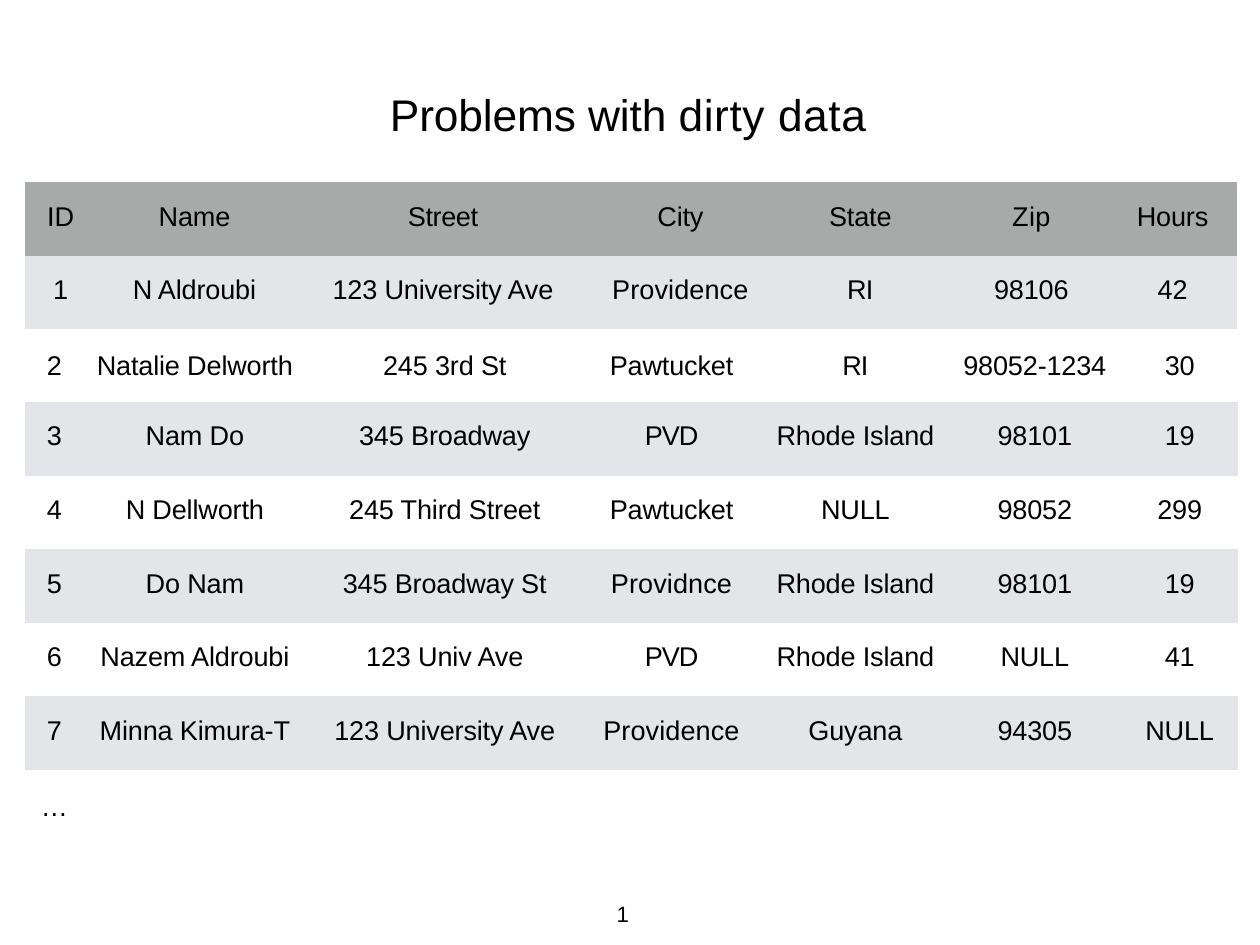
import pptx
import pptx.util
import pptx.dml.color
import pptx.enum.text

PX = 9144  # EMU per px, at 100 px to the inch
FONT = "Arial"
BLACK = pptx.dml.color.RGBColor(0x00, 0x00, 0x00)
HEADER_GREY = pptx.dml.color.RGBColor(0xA6, 0xAA, 0xA9)
BAND_GREY = pptx.dml.color.RGBColor(0xE3, 0xE5, 0xE8)
PLAIN_STYLE = "{2D5ABB26-0587-4C30-8999-92F81FD0307C}"
CENTER = pptx.enum.text.PP_ALIGN.CENTER
LEFT = pptx.enum.text.PP_ALIGN.LEFT

# Letter spacing in hundredths of a point, where it differs from the usual
TRACKING = {"Street": -30, "Zip": 40, "RI": -70, "PVD": -80,
            "Providence": 10, "Providnce": 10}
USUAL_TRACKING = -10

# Each row: height, top margin, fixed line spacing in points, fill, values
TOP_ROWS = [
    (83, 22, None, HEADER_GREY,
     ["ID", "Name", "Street", "City", "State", "Zip", "Hours"]),
    (83, 22, None, BAND_GREY,
     ["1", "N Aldroubi", "123 University Ave", "Providence", "RI", "98106", "42"]),
]
LOWER_ROWS = [
    (53, 0, 21.4, None,
     ["2", "Natalie Delworth", "245 3rd St", "Pawtucket", "RI", "98052-1234", "30"]),
    (83, 21, None, BAND_GREY,
     ["3", "Nam Do", "345 Broadway", "PVD", "Rhode Island", "98101", "19"]),
    (83, 22, None, None,
     ["4", "N Dellworth", "245 Third Street", "Pawtucket", "NULL", "98052", "299"]),
    (83, 22, None, BAND_GREY,
     ["5", "Do Nam", "345 Broadway St", "Providnce", "Rhode Island", "98101", "19"]),
    (83, 22, None, None,
     ["6", "Nazem Aldroubi", "123 Univ Ave", "PVD", "Rhode Island", "NULL", "41"]),
    (83, 22, None, BAND_GREY,
     ["7", "Minna Kimura-T", "123 University Ave", "Providence", "Guyana", "94305", "NULL"]),
    (60, 23, 26.1, None, ["…"]),
]


def px(n):
    return pptx.util.Emu(n * PX)


def set_all(obj, values):
    for name, value in values.items():
        setattr(obj, name, value)


def place(sp, box):
    set_all(sp, dict(zip(("left", "top", "width", "height"), map(px, box))))


def add_run(p, text, size, tracking):
    r = p.add_run()
    r.text = text
    set_all(r.font, {"name": FONT, "size": pptx.util.Pt(size), "bold": False})
    r.font.color.rgb = BLACK
    r.font._element.set("spc", str(tracking))


def frame(tf, top=0):
    set_all(tf, {"margin_left": 0, "margin_right": 0, "margin_bottom": 0,
                 "margin_top": px(top), "word_wrap": True,
                 "vertical_anchor": pptx.enum.text.MSO_ANCHOR.TOP})


def draw_title(s, box):
    sp = s.shapes.title
    place(sp, box)
    frame(sp.text_frame, 1)
    p = sp.text_frame.paragraphs[0]
    p.alignment = LEFT
    add_run(p, "Problems with ", 36, USUAL_TRACKING)
    add_run(p, "dirty data", 36, 50)


def draw_page_number(s, box):
    sp = s.shapes.add_textbox(*map(px, box))
    frame(sp.text_frame)
    p = sp.text_frame.paragraphs[0]
    p.line_spacing = pptx.util.Pt(18.4)
    p._p.get_or_add_pPr().set("marL", str(px(4)))
    add_run(p, "1", 18, USUAL_TRACKING)


def draw_table(s, left, top, widths, indents, rows):
    height = sum(row[0] for row in rows)
    box = (left, top, sum(widths), height)
    gf = s.shapes.add_table(len(rows), len(widths), *map(px, box))
    table = gf.table
    set_all(table, {"first_row": False, "horz_banding": False})
    table._tbl.tblPr[0].text = PLAIN_STYLE
    for column, width in zip(table.columns, widths):
        column.width = px(width)
    for i, (row_height, margin, spacing, fill, values) in enumerate(rows):
        table.rows[i].height = px(row_height)
        for j, indent in enumerate(indents):
            cell = table.cell(i, j)
            set_all(cell, {"margin_left": 0, "margin_right": 0,
                           "margin_bottom": 0, "margin_top": px(margin)})
            if fill is None:
                cell.fill.background()
            else:
                cell.fill.solid()
                cell.fill.fore_color.rgb = fill
            if j >= len(values):
                continue
            p = cell.text_frame.paragraphs[0]
            p.alignment = CENTER
            p._p.get_or_add_pPr().set("marL", str(px(indent)))
            if spacing:
                p.line_spacing = pptx.util.Pt(spacing)
            add_run(p, values[j], 22, TRACKING.get(values[j], USUAL_TRACKING))


def main():
    prs = pptx.Presentation()
    set_all(prs, {"slide_width": px(1422), "slide_height": px(1067)})
    s = prs.slides.add_slide(prs.slide_layouts[5])
    draw_title(s, (440, 97, 542, 63))
    # Header with the first record, then the remaining records
    draw_table(s, 28, 206, [81, 221, 324, 228, 178, 184, 152],
               [0, 0, 16, 0, 0, 24, 7], TOP_ROWS)
    draw_table(s, 28, 401 - 30 + 30, [62, 260, 304, 201, 215, 196, 131],
               [5, 0, 0, 7, 6, 0, 0], LOWER_ROWS)
    draw_page_number(s, (692, 1021, 36, 28))
    prs.save("out.pptx")


if __name__ == "__main__":
    main()
